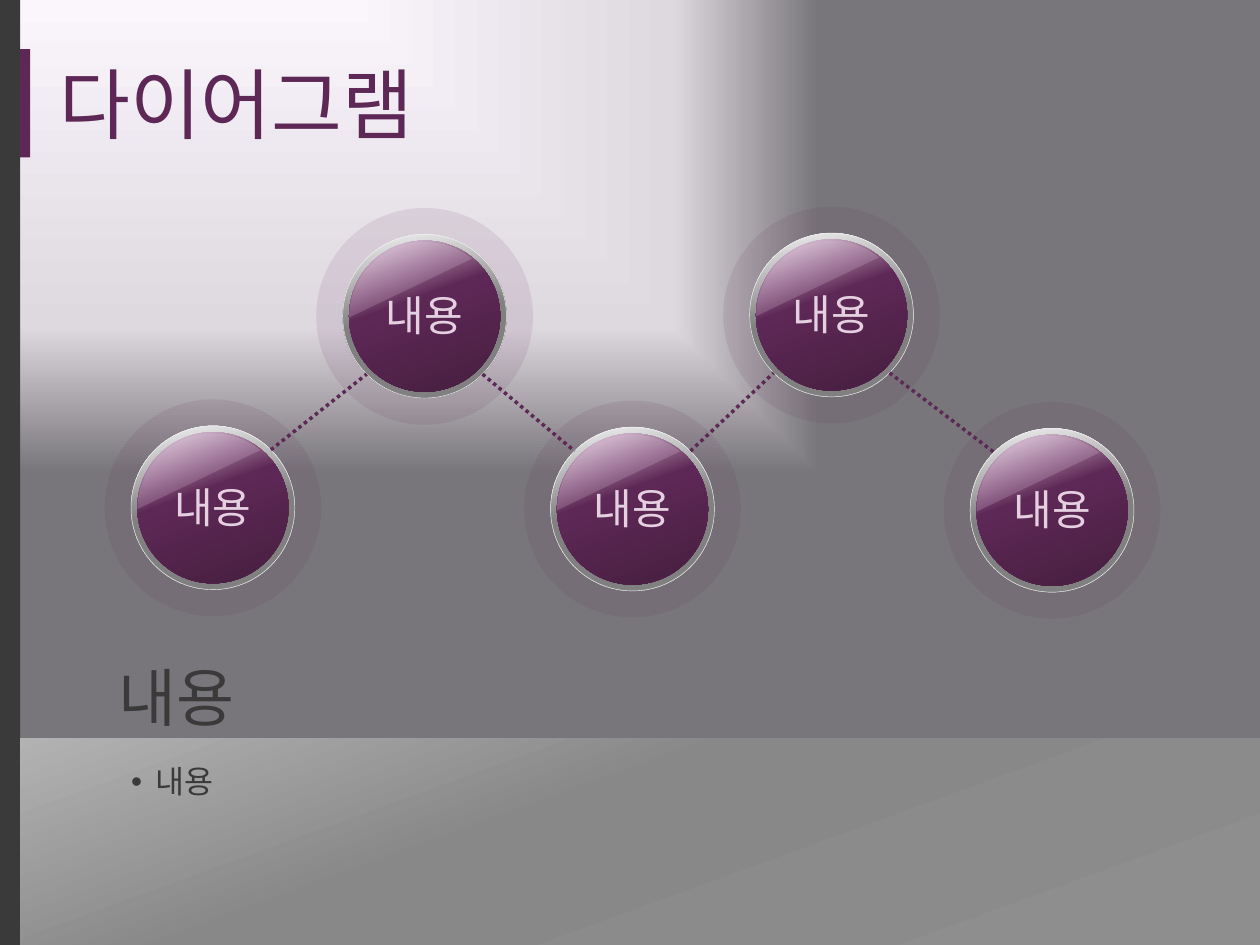
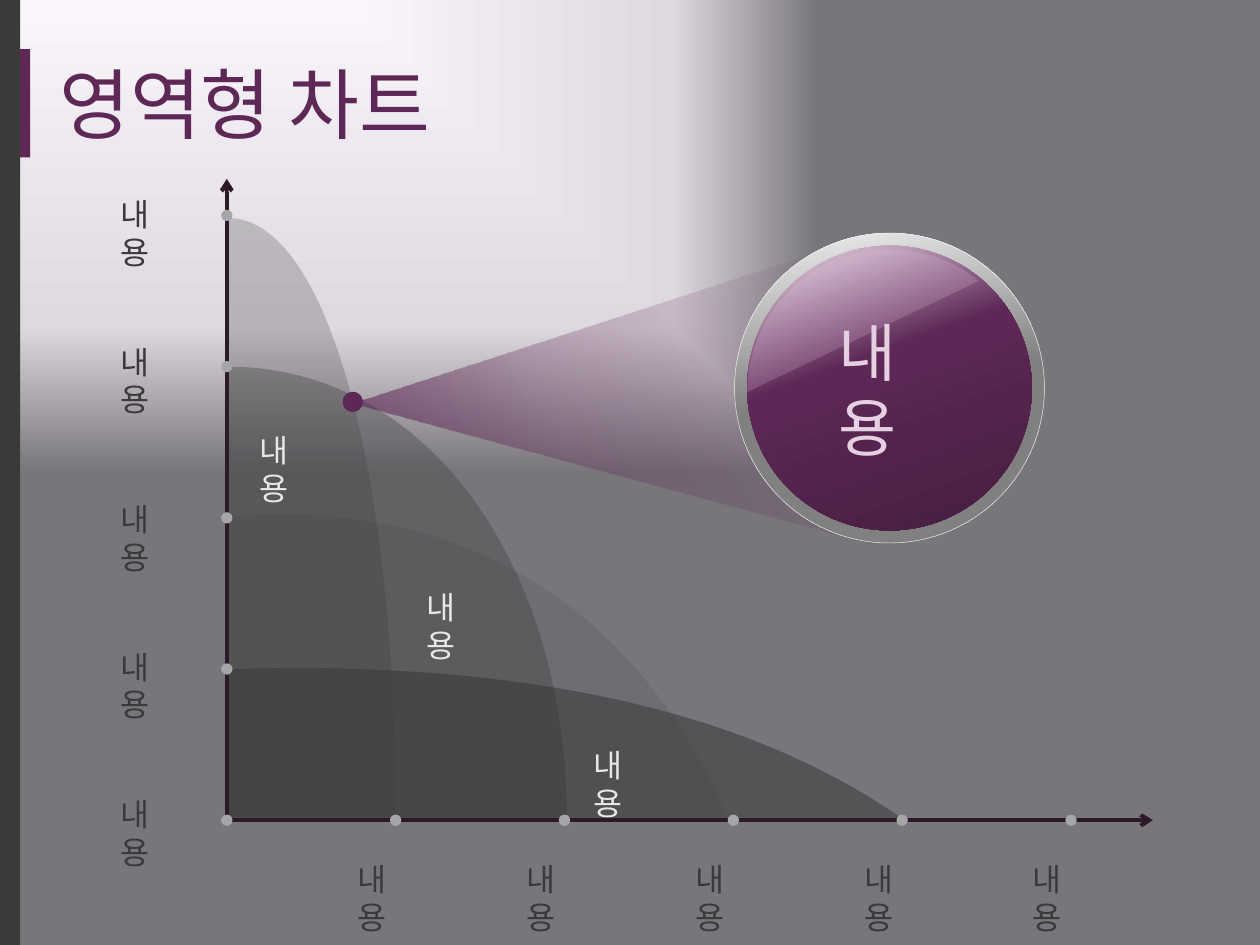
"""Build two Korean template slides: a node diagram and an area chart."""
import pptx
import pptx.dml.color
import pptx.enum.shapes
import pptx.enum.text
import pptx.oxml
import pptx.oxml.ns
import pptx.util

Inches = pptx.util.Inches
Pt = pptx.util.Pt
qn = pptx.oxml.ns.qn
SHAPE = pptx.enum.shapes.MSO_SHAPE
ALIGN = pptx.enum.text.PP_ALIGN
ANCHOR = pptx.enum.text.MSO_ANCHOR

FONT = "Arial"
PLUM = "5E2856"
DARK = "3A3A3A"
PINK = "E4D0E0"
PALE = "E7E7E7"
AXIS = "2D1A29"
DOT = "A6A6A6"
RIM = "F2F2F2"
SHEEN = "E9CAE4"
BACKDROP_STOPS = [(0, "FAF6FC"), (69, "DED8DF"), (100, "79767B")]
RING_STOPS = [(0, RIM), (50, "808080"), (100, "808080")]
GLASS_STOPS = [(0, "F4E5F2"), (40, PLUM), (100, "461E40")]
BAND_STOPS = [(0, "B2B2B2"), (40, "888888"), (100, "8E8E8E")]
BEAM_STOPS = [(0, PLUM, 75), (40, PLUM, 30), (100, PLUM, 0)]
LABEL = "내용"
RING_SIZE = 1.3
HALO_SIZE = 1.72


def rgb(value):
    """Turn a hex string into a colour."""
    return pptx.dml.color.RGBColor.from_string(value)


def add_child(parent, tag, **attributes):
    """Append an XML child with the given attributes."""
    child = parent.makeelement(qn(tag), {key: str(value) for key, value in attributes.items()})
    parent.append(child)
    return child


def set_opacity(color_element, percent):
    """Make an XML colour partly transparent."""
    add_child(color_element, "a:alpha", val=round(percent * 1000))


def set_gradient(fill, holder, stops, angle=None):
    """Fill with gradient stops, linear at an angle or else rectangular."""
    fill.gradient()
    gradient = holder.find(qn("a:gradFill"))
    gradient.clear()
    gradient.set("rotWithShape", "1")
    stop_list = add_child(gradient, "a:gsLst")
    for position, color, *opacity in stops:
        stop = add_child(stop_list, "a:gs", pos=position * 1000)
        color_element = add_child(stop, "a:srgbClr", val=color)
        if opacity:
            set_opacity(color_element, opacity[0])
    if angle is None:
        route = add_child(gradient, "a:path", path="rect")
        add_child(route, "a:fillToRect", l=0, t=-50000, r=70000, b=180000)
    else:
        add_child(gradient, "a:lin", ang=angle * 60000, scaled=0)


def paint(shape, fill, opacity=None, angle=0, line=None):
    """Give a shape a solid or gradient fill and an optional thin line."""
    shape.shadow.inherit = False
    properties = shape._element.spPr
    if isinstance(fill, list):
        set_gradient(shape.fill, properties, fill, angle)
    else:
        shape.fill.solid()
        shape.fill.fore_color.rgb = rgb(fill)
        if opacity is not None:
            set_opacity(properties.find(qn("a:solidFill")).find(qn("a:srgbClr")), opacity)
    if line:
        shape.line.color.rgb = rgb(line)
        shape.line.width = Pt(0.25)
    else:
        shape.line.fill.background()


def add_figure(page, kind, left, top, width, height, fill, **style):
    """Add a painted preset shape."""
    shape = page.shapes.add_shape(kind, Inches(left), Inches(top), Inches(width), Inches(height))
    paint(shape, fill, **style)
    return shape


def add_disc(page, center, size, fill, **style):
    """Add a circle around a centre point."""
    x, y = center
    return add_figure(page, SHAPE.OVAL, x - size / 2, y - size / 2, size, size, fill, **style)


def add_outline(page, points, fill, **style):
    """Add a closed freeform through the points."""
    first, *others = [(Inches(x), Inches(y)) for x, y in points]
    builder = page.shapes.build_freeform(*first)
    builder.add_line_segments(others, close=True)
    paint(builder.convert_to_shape(), fill, **style)


def add_line(page, start, end, color, width, dash=None, arrow=False):
    """Add a straight connector, dashed or with an arrowhead at its start."""
    line = page.shapes.add_connector(
        pptx.enum.shapes.MSO_CONNECTOR.STRAIGHT, *[Inches(value) for value in (*start, *end)])
    line.line.color.rgb = rgb(color)
    line.line.width = Pt(width)
    stroke = line.line._get_or_add_ln()
    if dash:
        add_child(stroke, "a:prstDash", val=dash)
    if arrow:
        add_child(stroke, "a:headEnd", type="arrow")
    add_child(line._element.spPr, "a:effectLst")


def write_text(frame, text, size=18, color=DARK, align=ALIGN.LEFT, anchor=ANCHOR.TOP,
               inset=None, bullet=None, grow=True):
    """Write one formatted paragraph into a text frame."""
    frame.word_wrap = True
    frame.vertical_anchor = anchor
    if grow:
        frame.auto_size = pptx.enum.text.MSO_AUTO_SIZE.SHAPE_TO_FIT_TEXT
    if inset is not None:
        frame.margin_left = frame.margin_right = Inches(inset)
        frame.margin_top = frame.margin_bottom = Inches(inset)
    para = frame.paragraphs[0]
    para.alignment = align
    if bullet:
        para.space_before = Pt(0)
        properties = para._p.get_or_add_pPr()
        properties.set("marL", str(Inches(0.19)))
        properties.set("indent", str(-Inches(0.19)))
        add_child(properties, "a:buChar", char=bullet)
    span = para.add_run()
    span.text = text
    span.font.name = FONT
    span.font.size = Pt(size)
    span.font.color.rgb = rgb(color)


def place(shape, left, top, width, height):
    """Move and size a shape."""
    shape.left, shape.top = Inches(left), Inches(top)
    shape.width, shape.height = Inches(width), Inches(height)


def add_text(page, text, left, top, width=0.63, height=0.4, **style):
    """Add a text box."""
    box = page.shapes.add_textbox(Inches(left), Inches(top), Inches(width), Inches(height))
    write_text(box.text_frame, text, **style)


def add_page(deck, layout_index, title):
    """Add a slide with the shared side bars and title style."""
    page = deck.slides.add_slide(deck.slide_layouts[layout_index])
    add_figure(page, SHAPE.RECTANGLE, 0, 0, 0.16, 7.5, DARK)
    add_figure(page, SHAPE.RECTANGLE, 0.16, 0.39, 0.08, 0.86, PLUM)
    place(page.shapes.title, 0.37, 0.3, 7.13, 1.03)
    write_text(page.shapes.title.text_frame, title, size=44, color=PLUM,
               anchor=ANCHOR.MIDDLE, grow=False)
    return page


def add_glass_ball(page, center, size, rim, sheen_drop):
    """Add a metal ring, a glass disc and its sheen."""
    x, y = center
    glass = size - 2 * rim
    add_disc(page, center, size, RING_STOPS, angle=80, line=RIM)
    add_disc(page, center, glass, GLASS_STOPS, angle=70)
    sheen = add_figure(page, SHAPE.CHORD, x - glass / 2, y - glass / 2 + sheen_drop,
                       glass, glass, SHEEN, opacity=20)
    sheen.adjustments[0] = 53.95
    sheen.adjustments[1] = 131.3
    sheen.rotation = 90


def add_node(page, center):
    """Add a labelled glass ball with a halo."""
    x, y = center
    add_disc(page, center, HALO_SIZE, PLUM, opacity=10)
    add_glass_ball(page, center, RING_SIZE, 0.05, 0.01)
    add_text(page, LABEL, x - 0.58, y - 0.26, 1.16, 0.5, size=24, color=PINK, align=ALIGN.CENTER)


def link_nodes(page, start, end):
    """Join two rings between their facing diagonal points."""
    reach = RING_SIZE / 2 * 0.5 ** 0.5
    rise = reach if end[1] > start[1] else -reach
    add_line(page, (start[0] + reach, start[1] + rise), (end[0] - reach, end[1] - rise),
             PLUM, 2, dash="sysDot")


def curve_points(start, pull_start, pull_end, end, steps=40):
    """Sample a cubic curve."""
    points = []
    for step in range(steps + 1):
        t = step / steps
        weights = ((1 - t) ** 3, 3 * t * (1 - t) ** 2, 3 * t * t * (1 - t), t ** 3)
        points.append(tuple(
            sum(weight * value for weight, value in zip(weights, values))
            for values in zip(start, pull_start, pull_end, end)))
    return points


def add_area(page, edge_top, curve, opacity):
    """Add a translucent area under a falling curve."""
    base = curve[-1][1]
    points = [(1.8, base), (1.8, edge_top), *curve_points(*curve)]
    add_outline(page, points, DARK, opacity=opacity)


def build_diagram(deck):
    """Build the zigzag diagram slide."""
    page = add_page(deck, 1, "다이어그램")
    add_figure(page, SHAPE.RECTANGLE, 0.16, 5.86, 9.84, 1.64, BAND_STOPS, angle=70)
    centers = [(1.69, 4.03), (3.37, 2.51), (5.02, 4.04), (6.6, 2.5), (8.35, 4.05)]
    for center in centers:
        add_node(page, center)
    for start, end in zip(centers, centers[1:]):
        link_nodes(page, start, end)
    body = page.placeholders[1]
    place(body, 0.94, 6, 7.96, 1.3)
    write_text(body.text_frame, LABEL, bullet="•", grow=False)
    page.shapes._spTree.append(body._element)
    add_text(page, LABEL, 0.94, 5.23, 8.12, 0.6, size=36, anchor=ANCHOR.BOTTOM, inset=0)


def build_area_chart(deck):
    """Build the area chart slide."""
    page = add_page(deck, 5, "영역형 차트")
    areas = [
        (4.1, [(2.2, 4.08), (4.13, 4.08), (5.23, 5.2), (5.78, 6.5)], 15),
        (2.91, [(1.81, 2.91), (3.36, 2.91), (4.5, 4.44), (4.5, 6.52)], 35),
        (1.73, [(1.81, 1.73), (2.59, 1.73), (3.14, 3.7), (3.14, 6.48)], 24),
        (5.31, [(2.3, 5.3), (4.85, 5.3), (6.28, 5.88), (7.18, 6.51)], 58),
    ]
    for edge_top, curve, opacity in areas:
        add_area(page, edge_top, curve, opacity)

    add_line(page, (1.8, 1.42), (1.8, 6.52), AXIS, 2.25, arrow=True)
    add_line(page, (9.15, 6.51), (1.82, 6.51), AXIS, 2.25, arrow=True)
    origin = (1.8, 6.51)
    ticks = [(origin[0], origin[1] - 1.2 * row) for row in range(4, -1, -1)]
    ticks += [(origin[0] + 1.34 * column, origin[1]) for column in range(1, 6)]
    for tick in ticks:
        add_disc(page, tick, 0.09, DOT)

    for index in range(3):
        add_text(page, LABEL, 1.96 + 1.325 * index, 3.37 + 1.25 * index, color=PALE)
    for top in (1.5, 2.67, 3.92, 5.09, 6.26):
        add_text(page, LABEL, 0.86, top)
    for index in range(5):
        add_text(page, LABEL, 2.74 + 1.34 * index, 6.78)

    add_outline(page, [(6.91, 4.31), (2.8, 3.2), (6.9, 1.87)], BEAM_STOPS, angle=332)
    add_glass_ball(page, (7.06, 3.08), 2.46, 0.1, 0.03)
    add_disc(page, (2.8, 3.19), 0.16, PLUM)
    add_text(page, LABEL, 6.56, 2.73, 1.06, 0.71, size=36, color=PINK, anchor=ANCHOR.MIDDLE)


def main():
    """Build and save the deck."""
    deck = pptx.Presentation()
    deck.slide_width, deck.slide_height = Inches(10), Inches(7.5)
    master = deck.slide_master
    fill = master.background.fill
    fill.solid()
    set_gradient(fill, master._element.find(".//" + qn("p:bgPr")), BACKDROP_STOPS)
    build_diagram(deck)
    build_area_chart(deck)
    deck.save("out.pptx")


if __name__ == "__main__":
    main()
